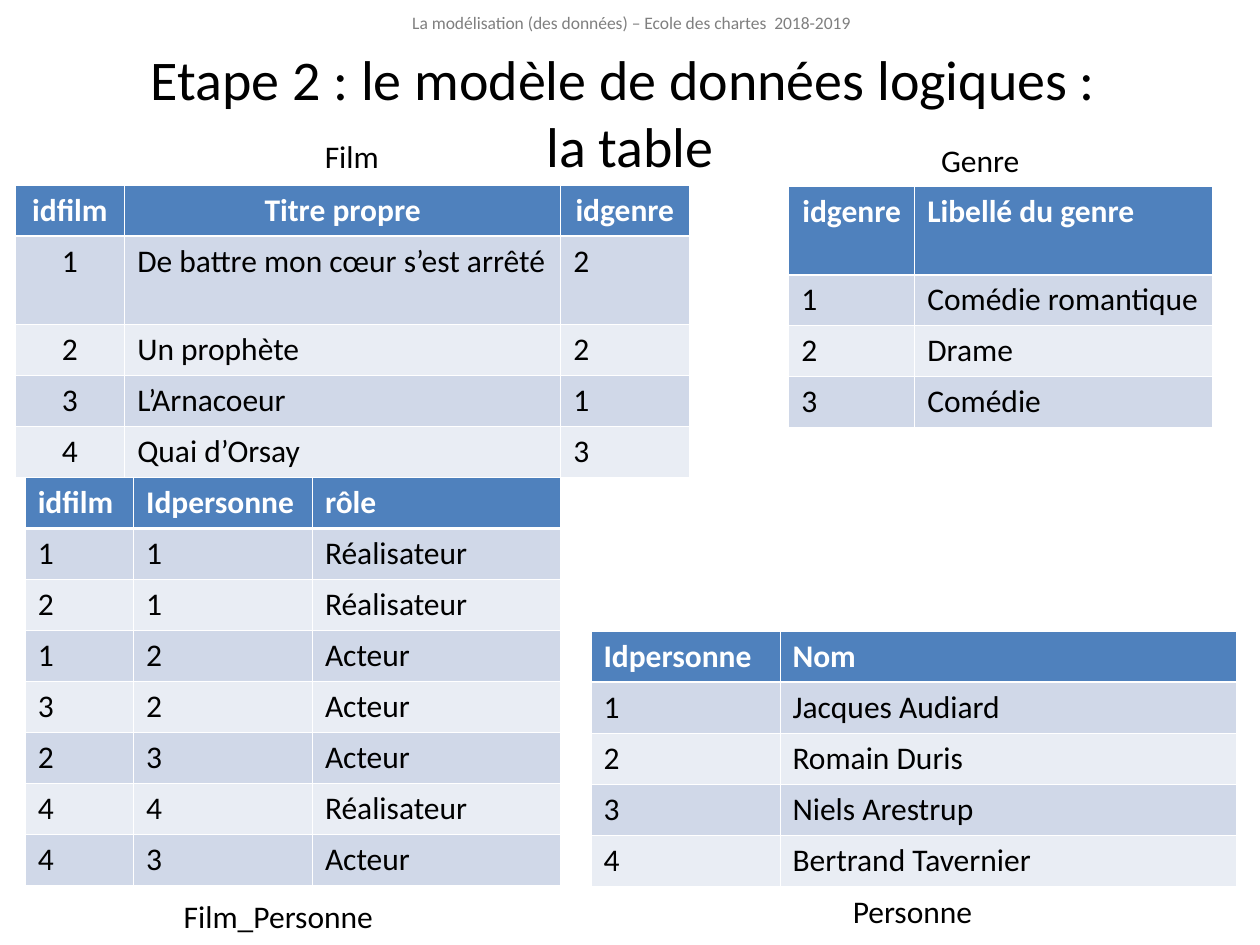
import pptx
import pptx.util
import pptx.dml.color
import pptx.enum.text
import pptx.oxml
import pptx.oxml.ns

Inches, Pt = pptx.util.Inches, pptx.util.Pt
ALIGN = pptx.enum.text.PP_ALIGN
AUTO_SIZE = pptx.enum.text.MSO_AUTO_SIZE

FONT = "Calibri"
COLORS = {
    "text": "000000",
    "header_note": "7F7F7F",
    "heading_text": "FFFFFF",
    "heading": "4F81BD",
    "odd_row": "D0D8E8",
    "even_row": "E9EDF4",
    "border": "FFFFFF",
}
ROW_HEIGHT, TALL_ROW = 0.405, 0.7
THIN_BORDER, THICK_BORDER = 0.45, 1.47

COURSE = "La modélisation (des données) – Ecole des chartes  2018-2019"
TITLE = "Etape 2 : le modèle de données logiques : \vla table"

RELATIONS = [
    {
        "name": "Film", "label": (2.48, 1.04, 0.63), "at": (0.12, 1.47),
        "columns": (0.87, 3.46, 1.02), "tall_row": 1,
        "centered_headings": (0, 1, 2), "centered_columns": (0,),
        "rows": [
            ("idfilm", "Titre propre", "idgenre"),
            ("1", "De battre mon cœur s’est arrêté", "2"),
            ("2", "Un prophète", "2"),
            ("3", "L’Arnacoeur", "1"),
            ("4", "Quai d’Orsay", "3"),
        ],
    },
    {
        "name": "Genre", "label": (7.37, 1.07, 0.82), "at": (6.26, 1.48),
        "columns": (1, 2.36), "tall_row": 0,
        "centered_headings": (0,), "centered_columns": (),
        "rows": [
            ("idgenre", "Libellé du genre"),
            ("1", "Comédie romantique"),
            ("2", "Drame"),
            ("3", "Comédie"),
        ],
    },
    {
        "name": "Personne", "label": (6.67, 7.03, 1.16), "at": (4.69, 5.01),
        "columns": (1.5, 3.62), "tall_row": None,
        "centered_headings": (), "centered_columns": (),
        "rows": [
            ("Idpersonne", "Nom"),
            ("1", "Jacques Audiard"),
            ("2", "Romain Duris"),
            ("3", "Niels Arestrup"),
            ("4", "Bertrand Tavernier"),
        ],
    },
    {
        "name": "Film_Personne", "label": (1.36, 7.07, 1.71), "at": (0.2, 3.79),
        "columns": (0.86, 1.42, 1.97), "tall_row": None,
        "centered_headings": (), "centered_columns": (),
        "rows": [
            ("idfilm", "Idpersonne", "rôle"),
            ("1", "1", "Réalisateur"),
            ("2", "1", "Réalisateur"),
            ("1", "2", "Acteur"),
            ("3", "2", "Acteur"),
            ("2", "3", "Acteur"),
            ("4", "4", "Réalisateur"),
            ("4", "3", "Acteur"),
        ],
    },
]


def rgb(role):
    return pptx.dml.color.RGBColor.from_string(COLORS[role])


def write(frame, text, size, role="text", align=ALIGN.LEFT, bold=False):
    frame.text = text
    for paragraph in frame.paragraphs:
        paragraph.alignment = align
        for run in paragraph.runs:
            run.font.name = FONT
            run.font.size = Pt(size)
            run.font.bold = bold
            run.font.color.rgb = rgb(role)


def place(shape, left, top, width, height):
    shape.left, shape.top = Inches(left), Inches(top)
    shape.width, shape.height = Inches(width), Inches(height)


def set_borders(cell, row):
    widths = {
        "lnL": THIN_BORDER,
        "lnR": THIN_BORDER,
        "lnT": THICK_BORDER if row == 1 else THIN_BORDER,
        "lnB": THICK_BORDER if row == 0 else THIN_BORDER,
    }
    properties = cell._tc.get_or_add_tcPr()
    for position, (side, width) in enumerate(widths.items()):
        properties.insert(position, pptx.oxml.parse_xml(
            f'<a:{side} {pptx.oxml.ns.nsdecls("a")} w="{Pt(width)}">'
            f'<a:solidFill><a:srgbClr val="{COLORS["border"]}"/></a:solidFill>'
            f'</a:{side}>'))


def add_relation(slide, relation):
    rows, columns = relation["rows"], relation["columns"]
    heights = [TALL_ROW if row == relation["tall_row"] else ROW_HEIGHT
               for row in range(len(rows))]
    left, top = relation["at"]
    table = slide.shapes.add_table(
        len(rows), len(columns), Inches(left), Inches(top),
        Inches(sum(columns)), Inches(sum(heights))).table
    for column, width in zip(table.columns, columns):
        column.width = Inches(width)
    for table_row, height in zip(table.rows, heights):
        table_row.height = Inches(height)
    for row, values in enumerate(rows):
        heading = row == 0
        centered = relation["centered_headings" if heading else "centered_columns"]
        fill = "heading" if heading else "odd_row" if row % 2 else "even_row"
        for column, value in enumerate(values):
            cell = table.cell(row, column)
            write(cell.text_frame, value, 18,
                  "heading_text" if heading else "text",
                  ALIGN.CENTER if column in centered else ALIGN.LEFT, heading)
            cell.fill.solid()
            cell.fill.fore_color.rgb = rgb(fill)
            set_borders(cell, row)


def add_label(slide, name, left, top, width):
    label = slide.shapes.add_textbox(
        Inches(left), Inches(top), Inches(width), Inches(0.4))
    label.text_frame.word_wrap = False
    label.text_frame.auto_size = AUTO_SIZE.SHAPE_TO_FIT_TEXT
    write(label.text_frame, name, 18)


def main():
    presentation = pptx.Presentation()
    presentation.slide_width, presentation.slide_height = Inches(10), Inches(7.5)
    slide = presentation.slides.add_slide(presentation.slide_layouts[5])

    course = slide.shapes.add_textbox(
        Inches(0.01), Inches(0.05), Inches(10), Inches(0.27))
    course.text_frame.word_wrap = True
    write(course.text_frame, COURSE, 10, "header_note", ALIGN.CENTER)

    title = slide.shapes.title
    place(title, 0.5, 0.3, 9, 1.25)
    title.text_frame.auto_size = AUTO_SIZE.NONE
    title.text_frame.vertical_anchor = pptx.enum.text.MSO_ANCHOR.MIDDLE
    title.text_frame.margin_top = 0
    title.text_frame.margin_bottom = Inches(0.08)
    write(title.text_frame, TITLE, 32, align=ALIGN.CENTER)

    for relation in RELATIONS:
        add_relation(slide, relation)
        add_label(slide, relation["name"], *relation["label"])

    presentation.save("out.pptx")


if __name__ == "__main__":
    main()
